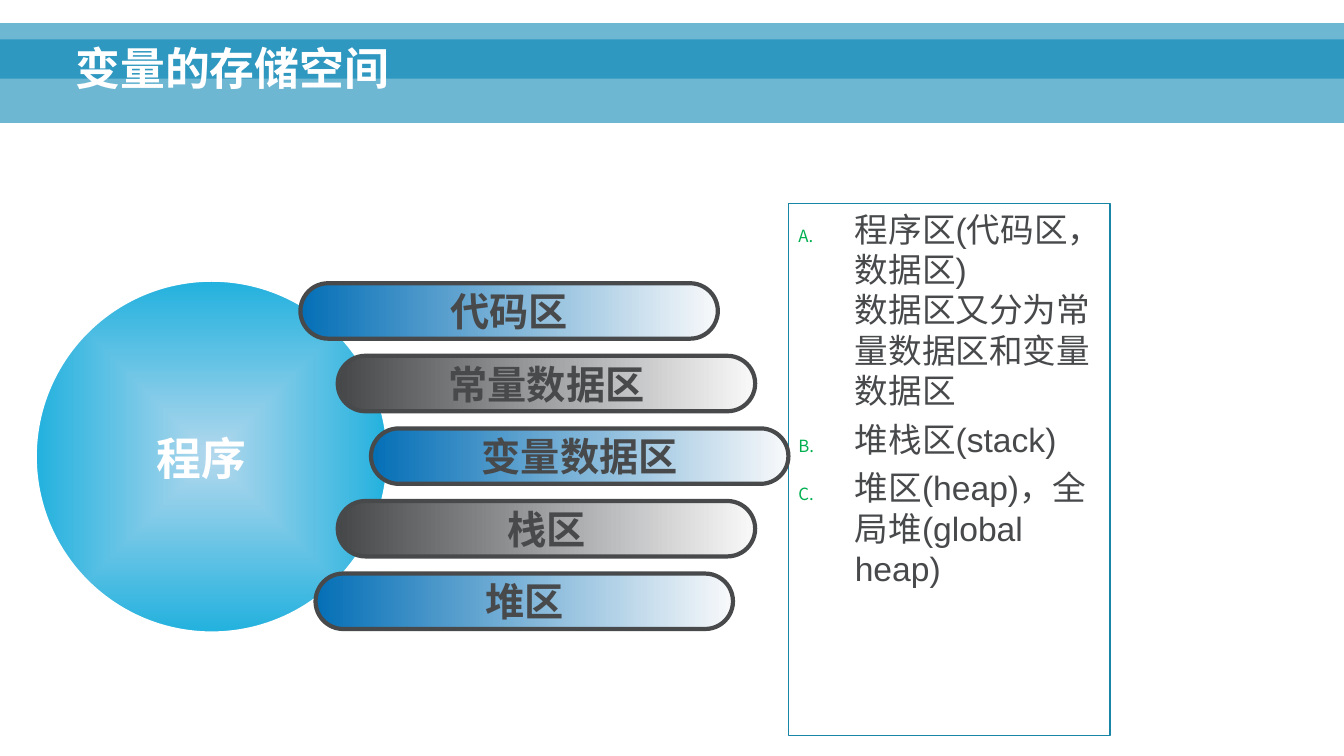
import pptx
import pptx.dml.color
import pptx.enum.shapes
import pptx.enum.text
import pptx.oxml
import pptx.oxml.ns
import pptx.util
from pptx.util import Inches

SHAPE = pptx.enum.shapes.MSO_SHAPE
ANCHOR = pptx.enum.text.MSO_ANCHOR
ALIGN = pptx.enum.text.PP_ALIGN
NAMESPACE = pptx.oxml.ns.nsdecls("a")


def color(value):
    return pptx.dml.color.RGBColor.from_string(value)


def element(markup):
    name, separator, rest = markup.partition(" ")
    return pptx.oxml.parse_xml(f"<a:{name} {NAMESPACE} {rest}")


class SlideBuilder:
    font = "Arial"
    white = "FFFFFF"
    dark = "47494B"

    def __init__(self, presentation):
        self.slide = presentation.slides.add_slide(presentation.slide_layouts[6])

    def shape(self, kind, box, line=None, width=1):
        shape = self.slide.shapes.add_shape(kind, *map(Inches, box))
        shape.shadow.inherit = False
        shape.fill.background()
        if line:
            shape.line.color.rgb = color(line)
            shape.line.width = pptx.util.Pt(width)
        else:
            shape.line.fill.background()
        return shape

    def band(self, top, height):
        shape = self.shape(SHAPE.RECTANGLE, (0, top, 13.33, height))
        shape.fill.solid()
        shape.fill.fore_color.rgb = color("0082B3")
        tint = shape._element.spPr.find(".//" + pptx.oxml.ns.qn("a:srgbClr"))
        tint.append(element('alpha val="57000"/>'))

    def gradient(self, shape, colors):
        shape.fill.gradient()
        shape.fill.gradient_angle = 0
        for stop, value in zip(shape.fill.gradient_stops, colors):
            stop.color.rgb = color(value)

    def circle(self, box, colors):
        shape = self.shape(SHAPE.OVAL, box, self.white, 2.25)
        self.gradient(shape, colors)
        linear = shape._element.spPr.find(".//" + pptx.oxml.ns.qn("a:lin"))
        center = '<a:fillToRect l="50000" t="50000" r="50000" b="50000"/>'
        linear.getparent().replace(
            linear, element(f'path path="shape">{center}</a:path>'))

    def pill(self, box, colors, text):
        shape = self.shape(SHAPE.ROUNDED_RECTANGLE, box, self.dark, 3)
        shape.adjustments[0] = 0.5
        self.gradient(shape, colors)
        shape.text_frame.word_wrap = False
        shape.text_frame.vertical_anchor = ANCHOR.MIDDLE
        paragraph = shape.text_frame.paragraphs[0]
        paragraph.alignment = ALIGN.CENTER
        self.run(paragraph, text, 28, self.dark, True)

    def run(self, paragraph, text, size, ink, bold=False):
        run = paragraph.add_run()
        run.text = text
        run.font.size = pptx.util.Pt(size)
        run.font.bold = bold
        run.font.color.rgb = color(ink)
        run.font.name = self.font
        return run

    def label(self, box, text, anchor, alignment, wrap, spacing=1.0):
        shape = self.slide.shapes.add_textbox(*map(Inches, box))
        shape.text_frame.word_wrap = wrap
        shape.text_frame.vertical_anchor = anchor
        paragraph = shape.text_frame.paragraphs[0]
        paragraph.alignment = alignment
        paragraph.line_spacing = spacing
        return self.run(paragraph, text, 32, self.white, True)

    def shadow(self, run):
        markup = ('effectLst><a:outerShdw dist="35921" dir="2700000">'
                  '<a:srgbClr val="000000"/></a:outerShdw></a:effectLst>')
        fill = run.font._element.find(pptx.oxml.ns.qn("a:solidFill"))
        fill.addnext(element(markup.replace("effectLst>", "effectLst >", 1)))

    def lettered_list(self, box, items):
        shape = self.shape(SHAPE.RECTANGLE, box, "1985A7", 1)
        frame = shape.text_frame
        frame.word_wrap = True
        frame.vertical_anchor = ANCHOR.TOP
        for index, item in enumerate(items):
            paragraph = frame.add_paragraph() if index else frame.paragraphs[0]
            paragraph.alignment = ALIGN.LEFT
            paragraph.space_before = pptx.util.Pt(3 if index else 0)
            paragraph.space_after = pptx.util.Pt(3)
            properties = paragraph._p.get_or_add_pPr()
            properties.set("marL", str(Inches(0.56)))
            properties.set("indent", str(-Inches(0.56)))
            for markup in ('buClr ><a:srgbClr val="00B050"/></a:buClr>',
                           'buSzPct val="50000"/>',
                           'buFont typeface="+mj-lt"/>',
                           'buAutoNum type="alphaUcPeriod"/>'):
                properties.append(element(markup))
            for number, line in enumerate(item.split("\n")):
                if number:
                    paragraph.add_line_break()
                self.run(paragraph, line, 24, self.dark)


def main():
    presentation = pptx.Presentation()
    presentation.slide_width = Inches(13.33)
    presentation.slide_height = Inches(7.5)
    builder = SlideBuilder(presentation)

    builder.band(0.39, 0.83)
    builder.band(0.23, 0.55)
    builder.label((0.65, 0.12, 11.98, 0.87), "变量的存储空间",
                  ANCHOR.BOTTOM, ALIGN.LEFT, True, 0.9)
    builder.lettered_list((7.82, 2.02, 3.19, 5.28), [
        "程序区(代码区，数据区)\n数据区又分为常量数据区和变量数据区",
        "堆栈区(stack)",
        "堆区(heap)，全局堆(global heap)",
    ])

    builder.circle((0.35, 2.78, 3.5, 3.5), ("B3D8ED", "22B1DE"))
    blue, gray = ("046FB6", "F8F9FB"), ("454749", "F9F9F9")
    regions = [(2.98, "代码区"), (3.35, "常量数据区"), (3.68, "变量数据区"),
               (3.35, "栈区"), (3.13, "堆区")]
    for index, (left, text) in enumerate(regions):
        builder.pill((left, 2.81 + 0.72 * index, 4.14, 0.55),
                     gray if index % 2 else blue, text)
    program = builder.label((1.45, 4.22, 1.1, 0.64), "程序",
                            ANCHOR.TOP, ALIGN.CENTER, False)
    builder.shadow(program)

    presentation.save("out.pptx")


if __name__ == "__main__":
    main()
